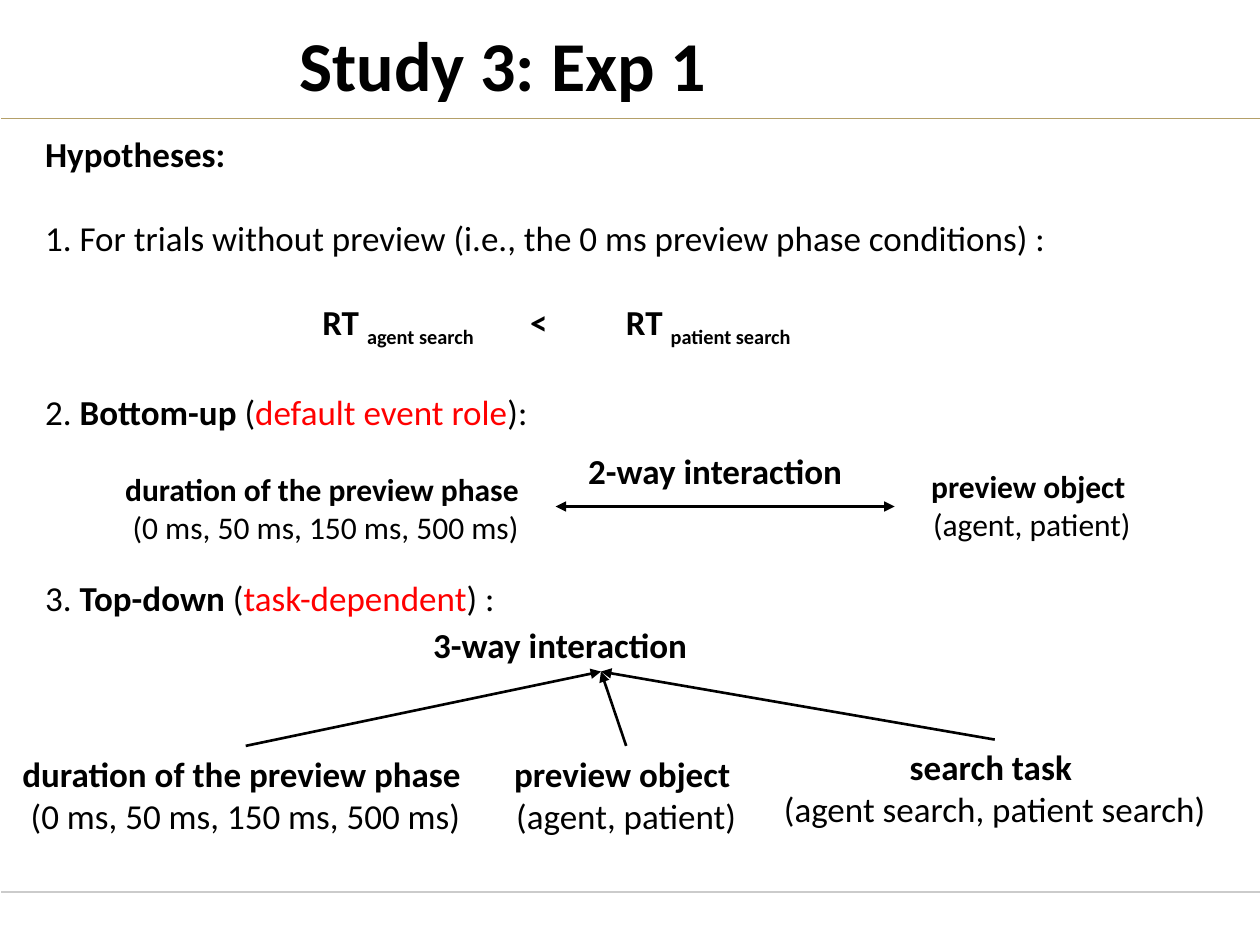
from lxml import etree
from pptx import Presentation
from pptx.dml.color import RGBColor
from pptx.enum.shapes import MSO_CONNECTOR
from pptx.enum.text import MSO_ANCHOR, MSO_AUTO_SIZE, PP_ALIGN
from pptx.oxml.ns import qn
from pptx.util import Inches, Pt

FONT = "Calibri"
BLACK, RED = "000000", "FF0000"
OLIVE, GREY = "B4A069", "CBCBCB"
BLANK_LINE = 24  # points


def rgb(color):
    return RGBColor.from_string(color)


def add_run(paragraph, text, size=20, bold=False, color=BLACK, subscript=False):
    run = paragraph.add_run()
    run.text = text
    run.font.name = FONT
    run.font.size = Pt(size)
    run.font.bold = bold
    run.font.color.rgb = rgb(color)
    if subscript:
        run.font._element.set("baseline", "-25000")


def add_box(slide, left, top, width, height):
    box = slide.shapes.add_textbox(
        Inches(left), Inches(top), Inches(width), Inches(height))
    box.text_frame.word_wrap = True
    return box.text_frame


def add_factor(slide, left, top, width, height, name, levels, size=20):
    """A bold factor name with its levels on the line below."""
    paragraph = add_box(slide, left, top, width, height).paragraphs[0]
    paragraph.alignment = PP_ALIGN.CENTER
    add_run(paragraph, name + " ", size, bold=True)
    paragraph.add_line_break()
    add_run(paragraph, levels, size)


def add_interaction(slide, left, top, width, text):
    paragraph = add_box(slide, left, top, width, 0.44).paragraphs[0]
    add_run(paragraph, text, bold=True)


def add_account(paragraph, number, name, reason, ending):
    """A numbered hypothesis with its reason in red."""
    add_run(paragraph, number)
    add_run(paragraph, name, bold=True)
    add_run(paragraph, " (")
    add_run(paragraph, reason, color=RED)
    add_run(paragraph, ending)


def add_line(slide, start, end, color=BLACK, width=1.5, arrows=()):
    line = slide.shapes.add_connector(
        MSO_CONNECTOR.STRAIGHT, *(Inches(value) for value in (*start, *end)))
    line.line.color.rgb = rgb(color)
    line.line.width = Pt(width)
    outline = line.line._get_or_add_ln()
    for arrow in arrows:
        etree.SubElement(outline, qn(f"a:{arrow}"), type="triangle")
    etree.SubElement(line._element.spPr, qn("a:effectLst"))


def add_title(slide, text):
    title = slide.shapes.title
    title.left, title.top = Inches(1.18), Inches(0.12)
    title.width, title.height = Inches(5.62), Inches(0.77)
    title.text_frame.auto_size = MSO_AUTO_SIZE.NONE
    title.text_frame.vertical_anchor = MSO_ANCHOR.MIDDLE
    paragraph = title.text_frame.paragraphs[0]
    paragraph.alignment = PP_ALIGN.CENTER
    add_run(paragraph, text, 40, bold=True)


def add_hypotheses(slide):
    frame = add_box(slide, 0.26, 1, 9.42, 2.79)
    heading = frame.paragraphs[0]
    no_preview, reaction_times, bottom_up = (
        frame.add_paragraph() for _ in range(3))
    for paragraph in (no_preview, reaction_times, bottom_up):
        paragraph.space_before = Pt(BLANK_LINE)

    add_run(heading, "Hypotheses:", bold=True)
    add_run(no_preview, "1. For trials without preview "
            "(i.e., the 0 ms preview phase conditions) :")

    # Tab stops align the two sides of the inequality
    tabs = etree.SubElement(
        reaction_times._p.get_or_add_pPr(), qn("a:tabLst"))
    for position in (2.2, 3.85, 4.61):
        etree.SubElement(
            tabs, qn("a:tab"), pos=str(Inches(position)), algn="l")
    add_run(reaction_times, "\tRT ", bold=True)
    add_run(reaction_times, "agent search", bold=True, subscript=True)
    add_run(reaction_times, "\t<\tRT ", bold=True)
    add_run(reaction_times, "patient search", bold=True, subscript=True)

    add_account(bottom_up, "2. ", "Bottom-up", "default event role", "):")


def main():
    prs = Presentation()
    prs.slide_width, prs.slide_height = Inches(10), Inches(7.5)
    slide = prs.slides.add_slide(prs.slide_layouts[5])

    # Rules under the title and above the footer
    for y, color in ((0.94, OLIVE), (7.08, GREY)):
        add_line(slide, (0.01, y), (10, y), color, 0.75)

    add_title(slide, "Study 3: Exp 1")
    add_hypotheses(slide)

    duration = ("duration of the preview phase", "(0 ms, 50 ms, 150 ms, 500 ms)")
    preview = ("preview object", "(agent, patient)")
    task = ("search task", "(agent search, patient search)")

    # Bottom-up: two-way interaction
    add_factor(slide, 0.38, 3.68, 4.41, 0.71, *duration, size=18)
    add_factor(slide, 6.56, 3.66, 3.26, 0.71, *preview, size=18)
    add_interaction(slide, 4.57, 3.52, 2.6, "2-way interaction")
    add_line(slide, (4.41, 4.02), (7.1, 4.02), arrows=("headEnd", "tailEnd"))

    # Top-down: three-way interaction
    top_down = add_box(slide, 0.26, 4.15, 9.42, 0.81)
    top_down.vertical_anchor = MSO_ANCHOR.BOTTOM
    add_account(top_down.paragraphs[0], "3. ", "Top-down", "task-dependent", ") :")
    add_interaction(slide, 3.34, 4.9, 2.86, "3-way interaction")
    for left, top, width, factor in ((0, 5.92, 3.9, duration),
                                     (3.54, 5.92, 2.86, preview),
                                     (5.85, 5.87, 4.09, task)):
        add_factor(slide, left, top, width, 0.77, *factor)
        add_line(slide, (left + width / 2, top), (4.77, 5.33),
                 arrows=("tailEnd",))

    prs.save("out.pptx")


if __name__ == "__main__":
    main()
